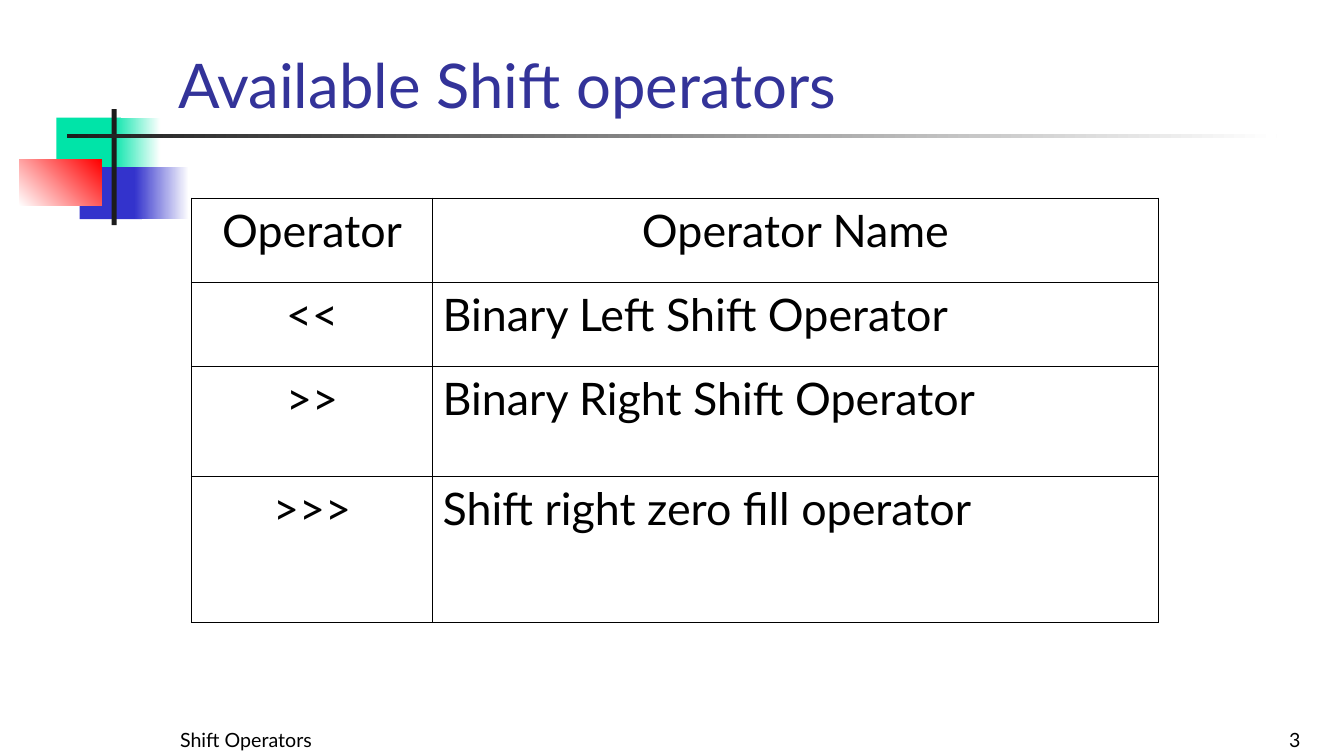
from pptx import Presentation
from pptx.dml.color import RGBColor
from pptx.enum.shapes import MSO_SHAPE
from pptx.enum.text import MSO_ANCHOR, MSO_AUTO_SIZE, PP_ALIGN
from pptx.oxml.ns import qn
from pptx.util import Inches, Pt
from lxml import etree

RECT = MSO_SHAPE.RECTANGLE
BOTTOM = MSO_ANCHOR.BOTTOM
FIXED = MSO_AUTO_SIZE.NONE
LEFT, MID, RIGHT = PP_ALIGN.LEFT, PP_ALIGN.CENTER, PP_ALIGN.RIGHT
WIDE, HIGH = Inches(13.33), Inches(7.5)
COLS, ROWS = 160, 90
BLACK, WHITE, DARK = "000000", "FFFFFF", "1C1C1C"
GREEN, BLUE, RED, NAVY = "00E4A8", "3333CC", "FF0000", "333399"


def paint(code):
    return RGBColor.from_string(code)


def across(n):
    return round(WIDE * n / COLS)


def down(n):
    return round(HIGH * n / ROWS)


def place(x, y, w, h):
    return across(x), down(y), across(w), down(h)


class Deck:
    font = "Lato"

    def __init__(self, show):
        self.slide = show.slides.add_slide(show.slide_layouts[5])
        self.shapes = self.slide.shapes

    def label(self, frame, text, size, color=BLACK, align=LEFT):
        para = frame.paragraphs[0]
        para.alignment = align
        run = para.add_run()
        run.text = text
        run.font.name = self.font
        run.font.size = Pt(size)
        run.font.color.rgb = paint(color)

    def frame(self, shape):
        frame = shape.text_frame
        frame.word_wrap = True
        frame.auto_size = FIXED
        frame.vertical_anchor = BOTTOM
        return frame

    def title(self, text, box):
        shape = self.shapes.title
        shape.left, shape.top, shape.width, shape.height = place(*box)
        self.label(self.frame(shape), text, 44, NAVY)

    def note(self, text, box, align):
        shape = self.shapes.add_textbox(*place(*box))
        self.label(self.frame(shape), text, 14, align=align)

    def block(self, box, start, end=None, angle=0):
        shape = self.shapes.add_shape(RECT, *place(*box))
        shape.shadow.inherit = False
        shape.line.fill.background()
        fill = shape.fill
        if end is None:
            fill.solid()
            fill.fore_color.rgb = paint(start)
            return
        fill.gradient()
        fill.gradient_angle = angle
        for stop, code, spot in zip(fill.gradient_stops, (start, end), (0, 1)):
            stop.color.rgb = paint(code)
            stop.position = spot

    def edge(self, cell):
        props = cell._tc.get_or_add_tcPr()
        for index, side in enumerate(("lnL", "lnR", "lnT", "lnB")):
            line = etree.Element(qn("a:" + side), w=str(Pt(1)))
            fill = etree.SubElement(line, qn("a:solidFill"))
            etree.SubElement(fill, qn("a:srgbClr"), val=BLACK)
            props.insert(index, line)

    def table(self, x, y, widths, heights, data):
        box = place(x, y, sum(widths), sum(heights))
        table = self.shapes.add_table(len(heights), len(widths), *box).table
        table.first_row = table.horz_banding = False
        for column, width in zip(table.columns, widths):
            column.width = across(width)
        for row, height in zip(table.rows, heights):
            row.height = down(height)
        for r, line in enumerate(data):
            for c, text in enumerate(line):
                cell = table.cell(r, c)
                cell.fill.background()
                self.edge(cell)
                align = MID if r == 0 or c == 0 else LEFT
                self.label(cell.text_frame, text, 32, align=align)


show = Presentation()
show.slide_width, show.slide_height = WIDE, HIGH
deck = Deck(show)

deck.block((6.7, 14, 7.7, 6.2), GREEN)
deck.block((13.3, 14, 5.8, 6.2), GREEN, WHITE)
deck.block((9.5, 19.9, 7.4, 6.2), BLUE)
deck.block((16, 19.9, 6.5, 6.2), BLUE, WHITE)
deck.block((2.3, 19, 9.8, 5.5), WHITE, RED, 45)
deck.block((13.3, 13, 0.6, 13.8), DARK)
deck.block((8, 16, 144, 0.4), DARK, WHITE)

deck.title("Available Shift operators", (20, 0, 136.3, 15))
deck.table(22.8, 23.6, (28.7, 86.4), (10, 10, 13.1, 17.4), (
    ("Operator", "Operator Name"),
    ("<<", "Binary Left Shift Operator"),
    (">>", "Binary Right Shift Operator"),
    (">>>", "Shift right zero fill operator"),
))
deck.note("Shift Operators", (4, 84, 50.6, 6), MID)
deck.note("3", (122.6, 84, 33.4, 6), RIGHT)

show.save("out.pptx")
